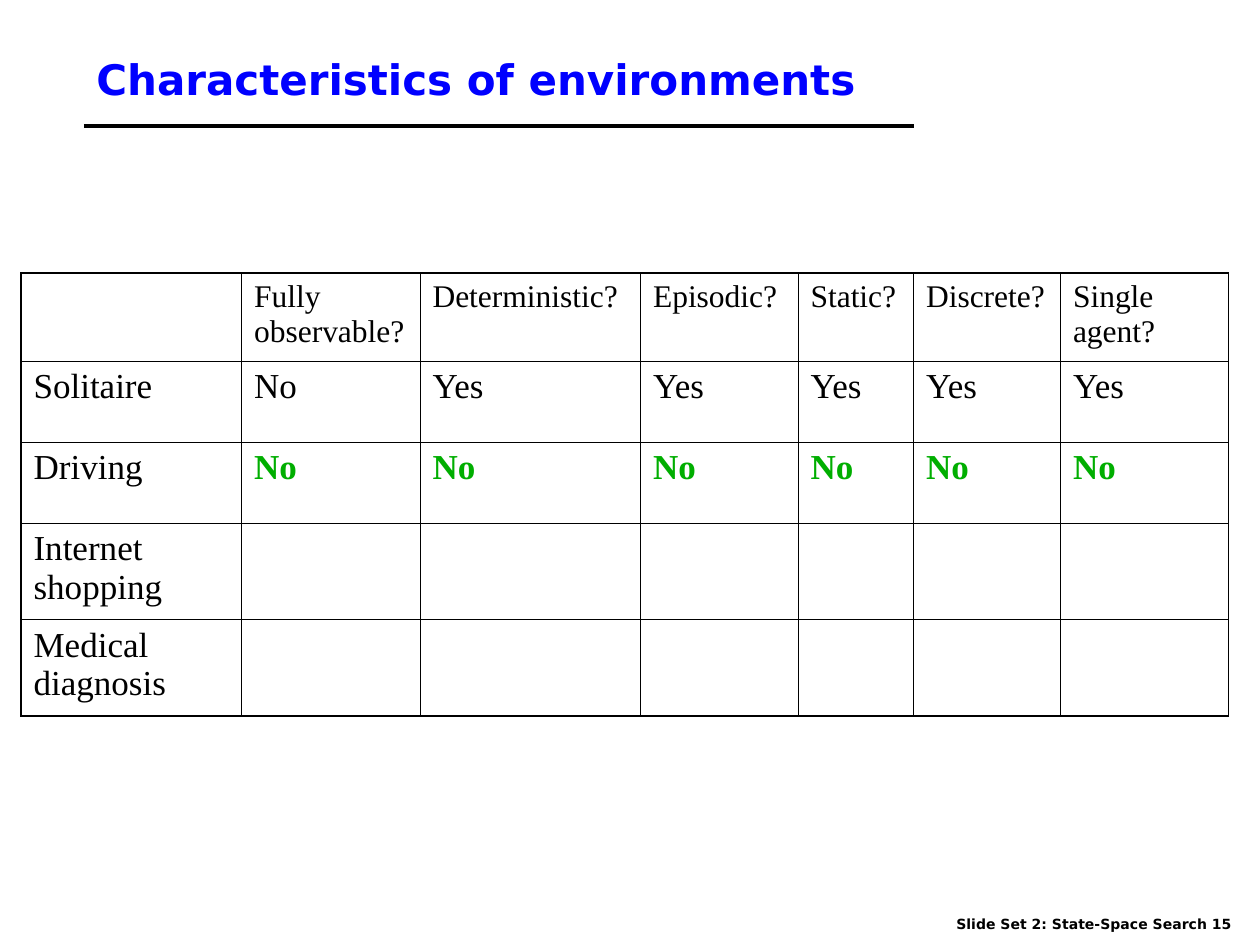
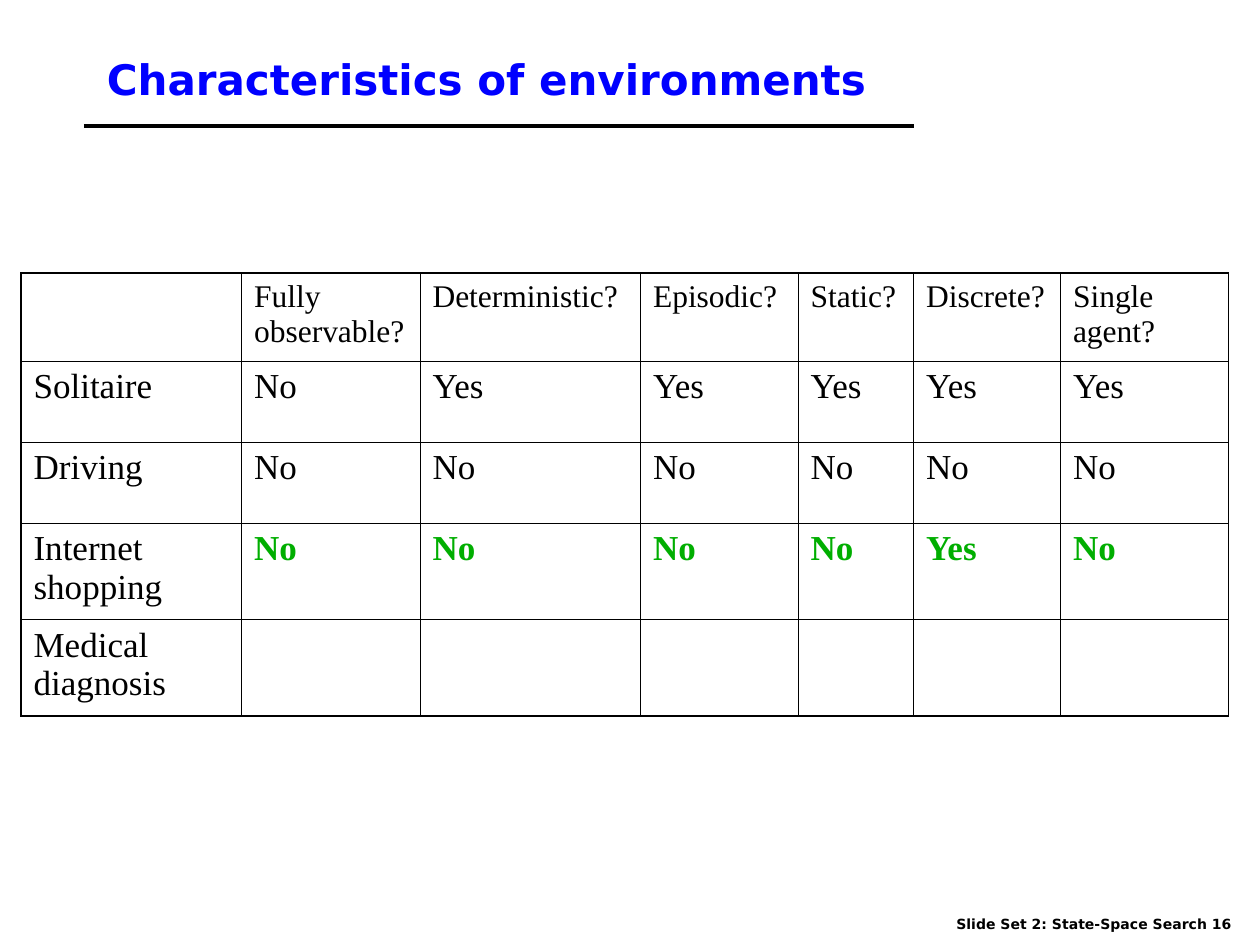
from pptx import Presentation
from pptx.dml.color import RGBColor
from pptx.enum.shapes import MSO_CONNECTOR as Connector
from pptx.enum.text import MSO_ANCHOR as Anchor
from pptx.oxml import parse_xml
from pptx.oxml.ns import nsdecls
from pptx.util import Inches, Pt

BLACK, BLUE, GREEN = "000000", "0000FF", "00AE00"
SANS, SERIF = "DejaVu Sans", "Times New Roman"
COLUMNS = 120  # grid of the slide: 120 columns by 90 rows

HEADINGS = ["", "Fully observable?", "Deterministic?", "Episodic?",
            "Static?", "Discrete?", "Single agent?"]
ENVIRONMENTS = [
    ("Solitaire", ["No", "Yes", "Yes", "Yes", "Yes", "Yes"]),
    ("Driving", ["No"] * 6),
    ("Internet shopping", ["No", "No", "No", "No", "Yes", "No"]),
    ("Medical diagnosis", [""] * 6),
]
COLUMN_WIDTHS = [21, 17, 21, 15, 11, 14, 16]
ROW_HEIGHTS = [8.4, 7.7, 7.7, 9.2, 9.2]
INNER_BORDER, OUTER_BORDER = 0.45, 1.08

# Slide number, rows answered so far, title box in grid units
SLIDES = [
    (15, 2, (8, 3, 102, 9)),
    (16, 3, (9, 2, 102, 11)),
]

presentation = Presentation()
presentation.slide_width = Inches(10)
presentation.slide_height = Inches(7.5)


def grid(*units):
    return [round(presentation.slide_width * unit / COLUMNS) for unit in units]


def add_run(text_frame, text, font_name, size, color, bold=False):
    run = text_frame.paragraphs[0].add_run()
    run.text = text
    run.font.name = font_name
    run.font.size = Pt(size)
    run.font.bold = bold
    run.font.color.rgb = RGBColor.from_string(color)


for number, answered, title_box in SLIDES:
    slide = presentation.slides.add_slide(presentation.slide_layouts[6])

    # Footer
    footer = slide.shapes.add_textbox(*grid(89.9, 86.6, 29.8, 3)).text_frame
    footer.word_wrap = False
    add_run(footer, f"Slide Set 2: State-Space Search {number}", SANS, 8, BLACK, True)

    # Title and the rule below it
    rule = slide.shapes.add_connector(Connector.STRAIGHT, *grid(8, 12, 87, 12))
    rule.line.color.rgb = RGBColor.from_string(BLACK)
    rule.line.width = Pt(2.25)
    rule._element.spPr.append(parse_xml(f"<a:effectLst {nsdecls('a')}/>"))

    title = slide.shapes.add_textbox(*grid(*title_box)).text_frame
    title.word_wrap = True
    title.vertical_anchor = Anchor.MIDDLE
    add_run(title, "Characteristics of environments", SANS, 24, BLUE, True)

    # Table of environments
    table = slide.shapes.add_table(
        len(ROW_HEIGHTS), len(COLUMN_WIDTHS),
        *grid(2, 26, sum(COLUMN_WIDTHS), sum(ROW_HEIGHTS))).table
    table.first_row = table.horz_banding = False
    for column, width in zip(table.columns, grid(*COLUMN_WIDTHS)):
        column.width = width
    for row, height in zip(table.rows, grid(*ROW_HEIGHTS)):
        row.height = height

    lines = [HEADINGS]
    for position, (name, answers) in enumerate(ENVIRONMENTS, 1):
        lines.append([name] + (answers if position <= answered else [""] * 6))

    last_row, last_column = len(ROW_HEIGHTS) - 1, len(COLUMN_WIDTHS) - 1
    for row_index, texts in enumerate(lines):
        for column_index, text in enumerate(texts):
            cell = table.cell(row_index, column_index)
            outer_sides = {"L": column_index == 0, "R": column_index == last_column,
                           "T": row_index == 0, "B": row_index == last_row}
            for side, is_outer in outer_sides.items():
                width = Pt(OUTER_BORDER if is_outer else INNER_BORDER)
                cell._tc.get_or_add_tcPr().append(parse_xml(
                    f'<a:ln{side} {nsdecls("a")} w="{width}"><a:solidFill>'
                    f'<a:srgbClr val="{BLACK}"/></a:solidFill></a:ln{side}>'))
            cell.fill.background()
            if text:
                is_new = row_index == answered and column_index > 0
                add_run(cell.text_frame, text, SERIF, 18 if row_index == 0 else 20,
                        GREEN if is_new else BLACK, is_new)

presentation.save("out.pptx")
